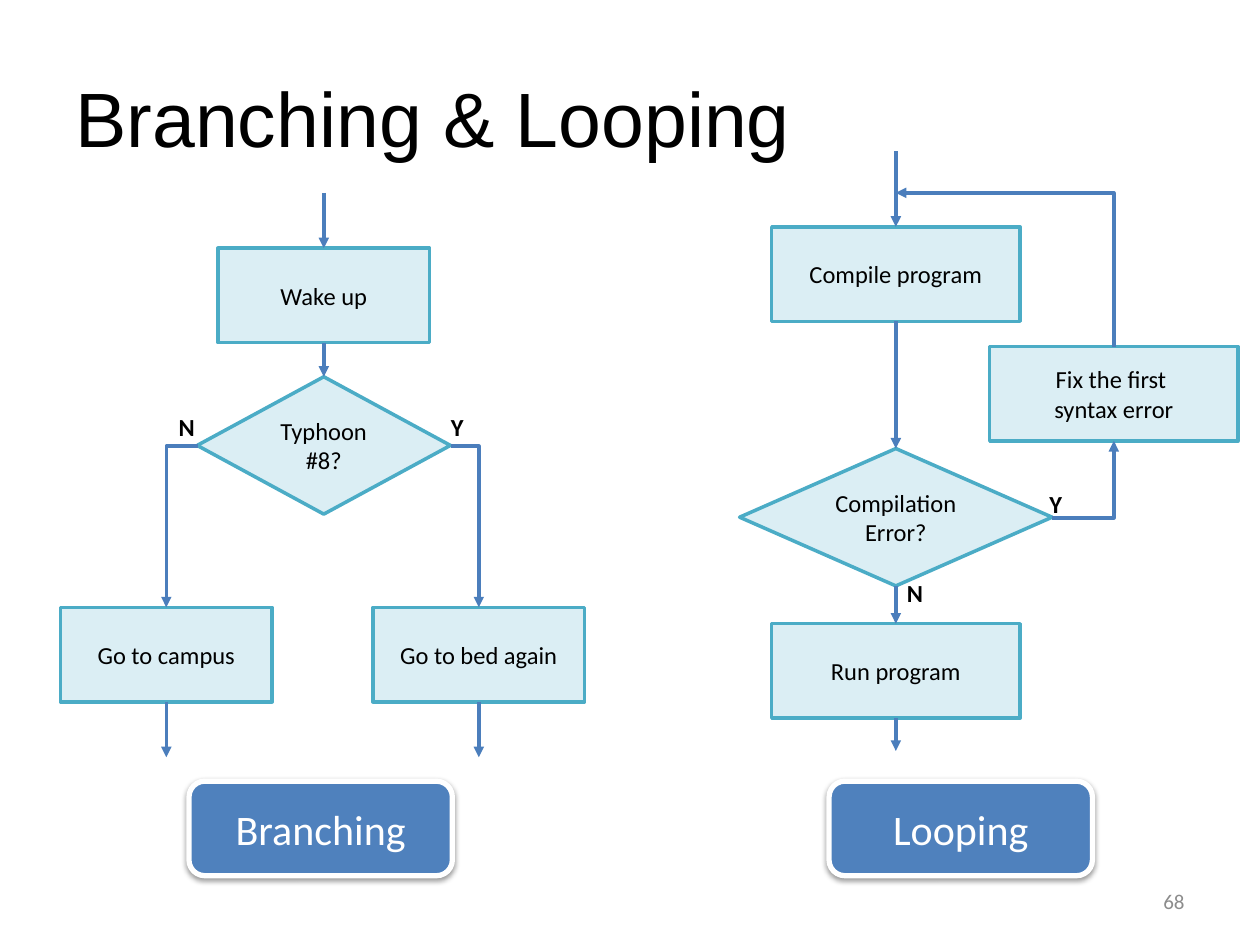
from dataclasses import dataclass
from lxml import etree
from pptx import Presentation
from pptx.dml.color import RGBColor
from pptx.enum.shapes import MSO_CONNECTOR as Link, MSO_SHAPE as Shape
from pptx.enum.text import MSO_ANCHOR as Anchor, PP_ALIGN as Align
from pptx.oxml import parse_xml
from pptx.oxml.ns import nsdecls, qn
from pptx.util import Inches, Pt


@dataclass(frozen=True)
class Theme:
    ink: str = "000000"
    white: str = "FFFFFF"
    node_fill: str = "DBEEF4"
    node_line: str = "4BACC6"
    arrow: str = "4B7EBC"
    badge: str = "4F81BD"
    muted: str = "8C8C8C"
    heading_font: str = "Arial"
    body_font: str = "Calibri"
    title_size: int = 44
    badge_size: int = 24
    body_size: int = 14
    number_size: int = 12


theme = Theme()
TOP, LEFT, BOTTOM, RIGHT = range(4)

deck = Presentation()
deck.slide_width, deck.slide_height = Inches(10), Inches(7.5)
page = deck.slides.add_slide(deck.slide_layouts[6])


def add_box(text, left, top, width, height, kind=None, fill=None, line=None, line_width=2,
            size=theme.body_size, color=theme.ink, font=theme.body_font,
            align=Align.CENTER, bold=False, anchor=Anchor.MIDDLE, wrap=True):
    """Add a text box, or a filled shape when a kind is given."""
    place = [Inches(value) for value in (left, top, width, height)]
    if kind is None:
        box = page.shapes.add_textbox(*place)
    else:
        box = page.shapes.add_shape(kind, *place)
        box.shadow.inherit = False
        box.fill.solid()
        box.fill.fore_color.rgb = RGBColor.from_string(fill)
        box.line.color.rgb = RGBColor.from_string(line)
        box.line.width = Pt(line_width)
    frame = box.text_frame
    frame.word_wrap = wrap
    frame.vertical_anchor = anchor
    frame.text = text
    para = frame.paragraphs[0]
    para.alignment = align
    for span in para.runs:
        span.font.name, span.font.size, span.font.bold = font, Pt(size), bold
        span.font.color.rgb = RGBColor.from_string(color)
    return box


def add_arrow(start, end, elbow=False, arrow_at="tailEnd"):
    """Join two ends, each a point (x, y) or a (shape, side) pair."""
    points = [(0, 0) if hasattr(stop[0], "shape_id") else stop for stop in (start, end)]
    kind = Link.ELBOW if elbow else Link.STRAIGHT
    arrow = page.shapes.add_connector(kind, *[Inches(value) for point in points for value in point])
    for stop, connect in ((start, arrow.begin_connect), (end, arrow.end_connect)):
        if hasattr(stop[0], "shape_id"):
            connect(*stop)
    arrow.line.color.rgb = RGBColor.from_string(theme.arrow)
    arrow.line.width = Pt(2)
    properties = arrow._element.spPr
    if elbow:
        properties.find(qn("a:prstGeom")).set("prst", "bentConnector2")
    etree.SubElement(properties.find(qn("a:ln")), qn(f"a:{arrow_at}"), type="triangle")
    etree.SubElement(properties, qn("a:effectLst"))


# Title
add_box("Branching & Looping", 0.5, 0.3, 9, 1.25, size=theme.title_size,
        font=theme.heading_font, align=Align.LEFT)

# Flowchart nodes: key, text, kind, centre x, top, width, height
process, decision = Shape.FLOWCHART_PROCESS, Shape.FLOWCHART_DECISION
branch_x, campus_x, bed_x = 2.57, 1.32, 3.8
loop_x, fix_x = 7.11, 8.84
nodes = {}
for key, text, kind, center, top, width, height in (
    ("wake", "Wake up", process, branch_x, 1.97, 1.68, 0.75),
    ("typhoon", "Typhoon #8?", decision, branch_x, 2.99, 2.01, 1.09),
    ("bed", "Go to bed again", process, bed_x, 4.82, 1.68, 0.75),
    ("campus", "Go to campus", process, campus_x, 4.82, 1.68, 0.75),
    ("compile", "Compile program", process, loop_x, 1.8, 1.97, 0.75),
    ("error", "Compilation Error?", decision, loop_x, 3.56, 2.48, 1.09),
    ("fix", "Fix the first \vsyntax error", process, fix_x, 2.75, 1.97, 0.75),
    ("run", "Run program", process, loop_x, 4.95, 1.97, 0.75),
):
    nodes[key] = add_box(text, center - width / 2, top, width, height, kind,
                         theme.node_fill, theme.node_line)

# Arrows into and out of each flow
for key, center, start_y in (("wake", branch_x, 1.53), ("compile", loop_x, 1.2)):
    add_arrow((center, start_y), (nodes[key], TOP))
for key, center, end_y in (("bed", bed_x, 6.01), ("campus", campus_x, 6.01), ("run", loop_x, 5.96)):
    add_arrow((nodes[key], BOTTOM), (center, end_y))

# Straight arrows between nodes
for upper, lower in (("wake", "typhoon"), ("compile", "error"), ("error", "run")):
    add_arrow((nodes[upper], BOTTOM), (nodes[lower], TOP))

# Bent arrows; each runs sideways first, so the loop back carries its arrowhead at the start
add_arrow((3.58, 3.54), (bed_x, 4.82), elbow=True)
add_arrow((1.57, 3.54), (campus_x, 4.82), elbow=True)
add_arrow((8.35, 4.11), (fix_x, 3.5), elbow=True)
add_arrow((loop_x, 1.53), (fix_x, 2.75), elbow=True, arrow_at="headEnd")

# Yes and no labels
for text, left, top in (("Y", 3.48, 3.22), ("N", 1.32, 3.22), ("Y", 8.23, 3.83), ("N", 7.1, 4.54)):
    add_box(text, left, top, 0.33, 0.34, align=Align.LEFT, bold=True,
            anchor=Anchor.TOP, wrap=False)

# Captions with a soft shadow
for text, left in (("Branching", 1.5), ("Looping", 6.58)):
    badge = add_box(text, left, 6.2, 2.09, 0.75, Shape.ROUNDED_RECTANGLE, theme.badge,
                    theme.white, line_width=3, size=theme.badge_size, color=theme.white)
    effects = badge._element.spPr.find(qn("a:effectLst"))
    effects.append(parse_xml(
        f'<a:outerShdw {nsdecls("a")} blurRad="{Pt(3.1)}" dist="{Pt(1.6)}" dir="5400000" '
        f'rotWithShape="0"><a:srgbClr val="{theme.ink}"><a:alpha val="38000"/></a:srgbClr>'
        '</a:outerShdw>'))

# Slide number
add_box("68", 7.17, 6.95, 2.33, 0.4, size=theme.number_size, color=theme.muted, align=Align.RIGHT)

deck.save("out.pptx")
